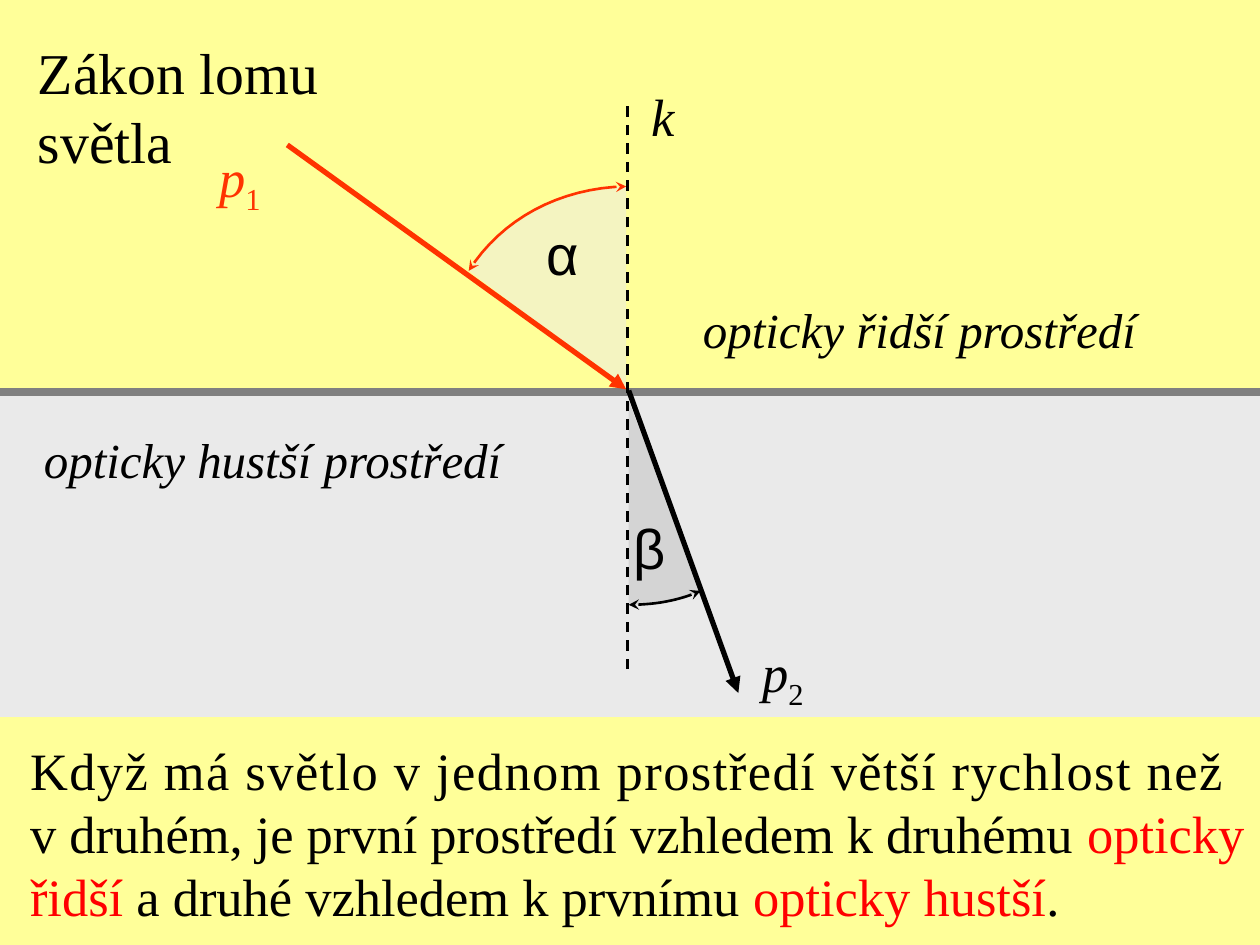
from dataclasses import dataclass
from typing import Optional

from lxml import etree
from pptx import Presentation
from pptx import util as u
from pptx.dml.color import RGBColor
from pptx.enum import dml, text
from pptx.enum.shapes import MSO_CONNECTOR, MSO_SHAPE
from pptx.oxml.ns import qn

# Grid of 100 columns and 75 rows
COLUMNS, ROWS = 100, 75
CELL = u.Inches(0.1)
SERIF, SANS = "Times New Roman", "Arial"
BLACK, RED, RAY, GREY = "000000", "FF0000", "FF3300", "EAEAEA"
Point = tuple[float, float]


@dataclass
class Run:
    text: str
    color: str = BLACK
    size: float = 30
    font: str = SERIF
    italic: bool = False
    subscript: bool = False
    spacing: float = 0  # points between letters


@dataclass
class Label:
    box: tuple[float, float, float, float]  # column, row, columns, rows
    lines: list[list[Run]]
    pitch: Optional[float] = None  # points from line to line


@dataclass
class Line:
    start: Point
    end: Point
    color: str
    width: float
    arrow: bool = False
    dashed: bool = False


@dataclass
class Angle:
    vertex: Point
    arc: tuple[Point, Point, Point, Point]  # Bezier control points
    fill: str
    color: str


def grid(*cells: float) -> list[int]:
    return [round(cell * CELL) for cell in cells]


def rgb(color: str) -> RGBColor:
    return RGBColor.from_string(color)


def set_values(target, values: dict) -> None:
    for name, value in values.items():
        setattr(target, name, value)


def fill_shape(shape, color: str, opacity: int = 100) -> None:
    shape.shadow.inherit = False
    shape.line.fill.background()
    shape.fill.solid()
    shape.fill.fore_color.rgb = rgb(color)
    if opacity < 100:
        color_node = shape.fill._xPr.find(qn("a:solidFill"))[0]
        etree.SubElement(color_node, qn("a:alpha"), val=str(opacity * 1000))


def style_line(shape, color: str, width: float, **ends: str) -> None:
    shape.line.color.rgb = rgb(color)
    shape.line.width = u.Pt(width)
    for end, kind in ends.items():
        etree.SubElement(shape.line._get_or_add_ln(), qn(f"a:{end}"), type=kind)


def write(frame, lines: list[list[Run]], pitch: Optional[float] = None) -> None:
    set_values(frame, {"word_wrap": False, "vertical_anchor": text.MSO_ANCHOR.TOP,
                       "auto_size": text.MSO_AUTO_SIZE.NONE})
    for index, runs in enumerate(lines):
        paragraph = frame.add_paragraph() if index else frame.paragraphs[0]
        paragraph.alignment = text.PP_ALIGN.LEFT
        if pitch:
            paragraph.line_spacing = u.Pt(pitch)
        for item in runs:
            run = paragraph.add_run()
            run.text = item.text
            set_values(run.font, {"name": item.font, "size": u.Pt(item.size),
                                  "italic": item.italic})
            run.font.color.rgb = rgb(item.color)
            properties = run._r.get_or_add_rPr()
            if item.subscript:
                properties.set("baseline", "-25000")
            if item.spacing:
                properties.set("spc", str(round(item.spacing * 100)))


def draw_label(slide, label: Label) -> None:
    write(slide.shapes.add_textbox(*grid(*label.box)).text_frame, label.lines, label.pitch)


def draw_line(slide, line: Line) -> None:
    connector = slide.shapes.add_connector(MSO_CONNECTOR.STRAIGHT,
                                           *grid(*line.start, *line.end))
    if line.dashed:
        connector.line.dash_style = dml.MSO_LINE.DASH
    style_line(connector, line.color, line.width,
               **({"tailEnd": "triangle"} if line.arrow else {}))
    etree.SubElement(connector._element.spPr, qn("a:effectLst"))


def curve(arc: tuple[Point, ...], steps: int = 16) -> list[Point]:
    weights = (1, 3, 3, 1)
    return [tuple(sum(weight * (1 - t) ** (3 - power) * t ** power * point[axis]
                      for power, (weight, point) in enumerate(zip(weights, arc)))
                  for axis in (0, 1))
            for t in (step / steps for step in range(steps + 1))]


def outline(slide, points: list[Point], close: bool):
    first, *rest = [tuple(grid(*point)) for point in points]
    builder = slide.shapes.build_freeform(*first)
    builder.add_line_segments(rest, close=close)
    return builder.convert_to_shape()


def draw_angle(slide, angle: Angle) -> None:
    points = curve(angle.arc)
    fill_shape(outline(slide, points + [angle.vertex], True), angle.fill, 50)
    arc = outline(slide, points, False)
    arc.shadow.inherit = False
    arc.fill.background()
    style_line(arc, angle.color, 1.5, headEnd="stealth", tailEnd="stealth")


def ray_name(index: str, color: str) -> list[Run]:
    return [Run("p", color, italic=True), Run(index, color, subscript=True)]


ANGLES = [
    Angle((49.7, 30.9), ((37.2, 21.5), (39.8, 17.4), (44.4, 14.9), (49.7, 14.8)), GREY, RAY),
    Angle((49.9, 31.8), ((55.6, 46.9), (53.8, 47.7), (51.9, 48), (49.9, 48)), "C0C0C0", BLACK),
]
LINES = [
    Line((22.8, 11.5), (49.7, 30.9), RAY, 3, arrow=True),
    Line((49.9, 31), (58.6, 55), BLACK, 3, arrow=True),
    Line((49.8, 53.1), (49.8, 8.2), BLACK, 1.5, dashed=True),
]
LABELS = [
    Label((42.4, 16.9, 5, 6.4), [[Run("α", size=32, font=SANS)]]),
    Label((49.3, 40.3, 5, 6.4), [[Run("β", size=32, font=SANS)]]),
    Label((50.7, 6.2, 3.8, 5.8), [[Run("k", italic=True)]]),
    Label((16.4, 11, 5.3, 5.8), [ray_name("1", RAY)]),
    Label((59.5, 50.3, 5.3, 5.8), [ray_name("2", BLACK)]),
    Label((54.8, 23.3, 36.5, 5.5), [[Run("opticky řidší prostředí", size=28, italic=True)]]),
    Label((2.5, 33.6, 38.4, 5.5), [[Run("opticky hustší prostředí", size=28, italic=True)]]),
    Label((1.4, 58.1, 98.4, 16), [
        [Run("Když má světlo v jednom prostředí větší rychlost než", spacing=0.85)],
        [Run("v druhém, je první prostředí vzhledem k druhému "), Run("opticky", RED)],
        [Run("řidší", RED), Run(" a druhé vzhledem k prvnímu "),
         Run("opticky hustší", RED), Run(".")],
    ], pitch=36),
]


def main() -> None:
    presentation = Presentation()
    presentation.slide_width, presentation.slide_height = grid(COLUMNS, ROWS)
    slide = presentation.slides.add_slide(presentation.slide_layouts[5])
    slide.background.fill.solid()
    slide.background.fill.fore_color.rgb = rgb("FFFF99")

    # Title
    title = slide.shapes.title
    set_values(title, dict(zip(("left", "top", "width", "height"), grid(2, 2.4, 36.1, 6.5))))
    write(title.text_frame, [[Run("Zákon lomu světla", size=33)]])

    # Denser medium and the boundary
    medium = slide.shapes.add_shape(MSO_SHAPE.RECTANGLE, *grid(0, 31.4, COLUMNS, 25.5))
    fill_shape(medium, GREY)
    draw_line(slide, Line((0, 31.1), (COLUMNS, 31.1), "808080", 4.5))

    # Angles, rays with the normal, and labels
    for angle in ANGLES:
        draw_angle(slide, angle)
    for line in LINES:
        draw_line(slide, line)
    for label in LABELS:
        draw_label(slide, label)

    presentation.save("out.pptx")


if __name__ == "__main__":
    main()
